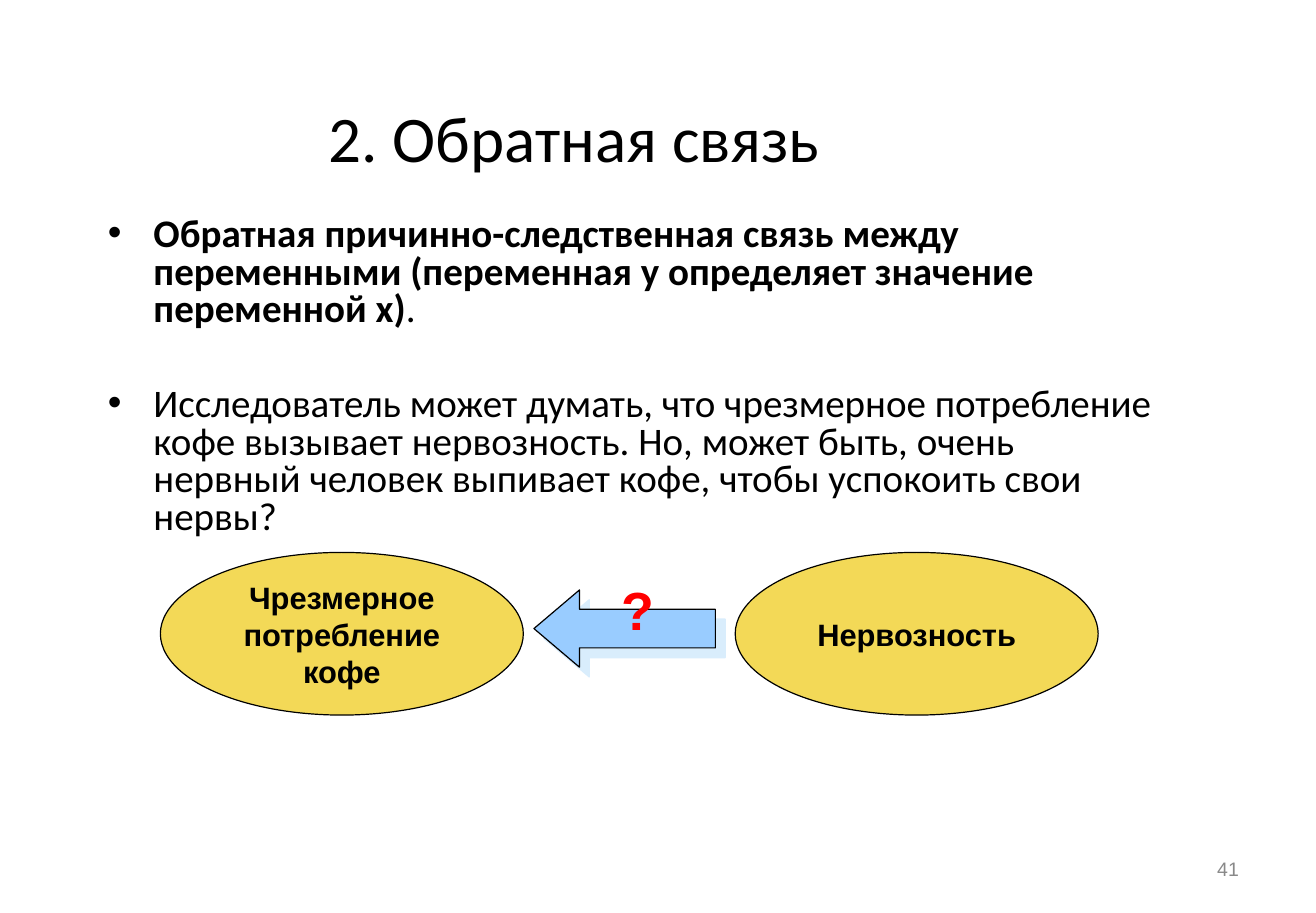
"""Builds the slide on reverse causality between coffee and nervousness."""
from lxml import etree
from pptx import Presentation
from pptx.dml.color import RGBColor
from pptx.enum.shapes import MSO_SHAPE
from pptx.enum.text import MSO_ANCHOR, MSO_AUTO_SIZE, PP_ALIGN
from pptx.oxml import parse_xml
from pptx.oxml.ns import nsdecls
from pptx.util import Inches, Pt

OVAL, LEFT_ARROW = MSO_SHAPE.OVAL, MSO_SHAPE.LEFT_ARROW
TOP, MIDDLE = MSO_ANCHOR.TOP, MSO_ANCHOR.MIDDLE
LEFT, CENTER, RIGHT = PP_ALIGN.LEFT, PP_ALIGN.CENTER, PP_ALIGN.RIGHT
NO_AUTOFIT = MSO_AUTO_SIZE.NONE

COLORS = {"black": "000000", "gold": "F3D957", "sky": "99CCFF",
          "shadow": "B4DCFA", "red": "FF0000", "gray": "898989"}

presentation = Presentation()
presentation.slide_width, presentation.slide_height = Inches(11.24), Inches(7.8)
slide = presentation.slides.add_slide(presentation.slide_layouts[1])
shapes = slide.shapes


def box(left, top, width, height):
    """Turns percentages of the slide's size into lengths."""
    across, down = presentation.slide_width / 100, presentation.slide_height / 100
    return int(left * across), int(top * down), int(width * across), int(height * down)


def write(shape, paragraphs, alignment, anchor, wrap=True, **font_format):
    """Fills a shape with paragraphs, each a list of (text, bold) runs."""
    frame = shape.text_frame
    frame_format = {"word_wrap": wrap, "auto_size": NO_AUTOFIT, "vertical_anchor": anchor,
                    "margin_left": Inches(0.1), "margin_right": Inches(0.1),
                    "margin_top": Inches(0.05), "margin_bottom": Inches(0.05)}
    for name, value in frame_format.items():
        setattr(frame, name, value)
    color = font_format.pop("color")
    for index, runs in enumerate(paragraphs):
        paragraph = frame.add_paragraph() if index else frame.paragraphs[0]
        paragraph.alignment = alignment
        for text, bold in runs:
            run = paragraph.add_run()
            run.text = text
            for name, value in {**font_format, "bold": bold}.items():
                setattr(run.font, name, value)
            run.font.color.rgb = RGBColor.from_string(COLORS[color])


title, body = shapes.title, slide.placeholders[1]
for placeholder, area in ((title, box(24.11, 9.62, 47.6, 10.64)),
                          (body, box(7.3, 23.21, 81.32, 61.03))):
    placeholder.left, placeholder.top, placeholder.width, placeholder.height = area

write(title, [[("2. Обратная связь", False)]], LEFT, MIDDLE,
      size=Pt(40), name="Calibri", color="black")
write(body, [
    [("Обратная причинно-следственная связь между переменными "
      "(переменная у определяет значение переменной х)", True), (".", False)],
    [("Исследователь может думать, что чрезмерное потребление кофе вызывает нервозность. "
      "Но, может быть, очень нервный человек выпивает кофе, чтобы успокоить свои нервы?", False)],
], LEFT, TOP, size=Pt(24), name="Calibri", color="black")
for paragraph, gap in zip(body.text_frame.paragraphs, (0, 35.4)):
    paragraph.line_spacing = 0.8
    paragraph.space_before = Pt(gap)
    properties = paragraph._p.get_or_add_pPr()
    properties.set("marL", str(Inches(0.39)))
    properties.set("indent", str(-Inches(0.39)))

ellipses = [shapes.add_shape(OVAL, *box(left, 60.51, 27.58, 17.82)) for left in (12.19, 55.87)]
arrow = shapes.add_shape(LEFT_ARROW, *box(40.57, 64.62, 13.79, 8.46))
arrow.adjustments[0], arrow.adjustments[1] = 0.5, 0.59
for shape, fill in zip((*ellipses, arrow), ("gold", "gold", "sky")):
    shape.shadow.inherit = False
    shape.fill.solid()
    shape.fill.fore_color.rgb = RGBColor.from_string(COLORS[fill])
    shape.line.color.rgb = RGBColor.from_string(COLORS["black"])
    shape.line.width = Pt(0.75)
for ellipse, label in zip(ellipses, ("Чрезмерное потребление кофе", "Нервозность")):
    write(ellipse, [[(label, True)]], CENTER, MIDDLE, size=Pt(19), name="Arial", color="black")

effects = arrow._element.spPr.find("{*}effectLst")
shadow = parse_xml(f'<a:outerShdw {nsdecls("a")} blurRad="0" dist="{Pt(8.5)}" '
                   f'dir="{45 * 60000}" algn="ctr" rotWithShape="0"/>')
shadow_color = etree.SubElement(shadow, shadow.tag.replace("outerShdw", "srgbClr"),
                                val=COLORS["shadow"])
etree.SubElement(shadow_color, shadow.tag.replace("outerShdw", "alpha"), val="50000")
effects.append(shadow)

question = shapes.add_textbox(*box(46.35, 62.56, 4.36, 8.33))
write(question, [[("?", True)]], LEFT, TOP, wrap=False, size=Pt(33), name="Arial", color="red")
number = shapes.add_textbox(*box(71.71, 92.56, 23.31, 5.26))
write(number, [[("41", False)]], RIGHT, MIDDLE, size=Pt(12), name="Arial", color="gray")

presentation.save("out.pptx")
